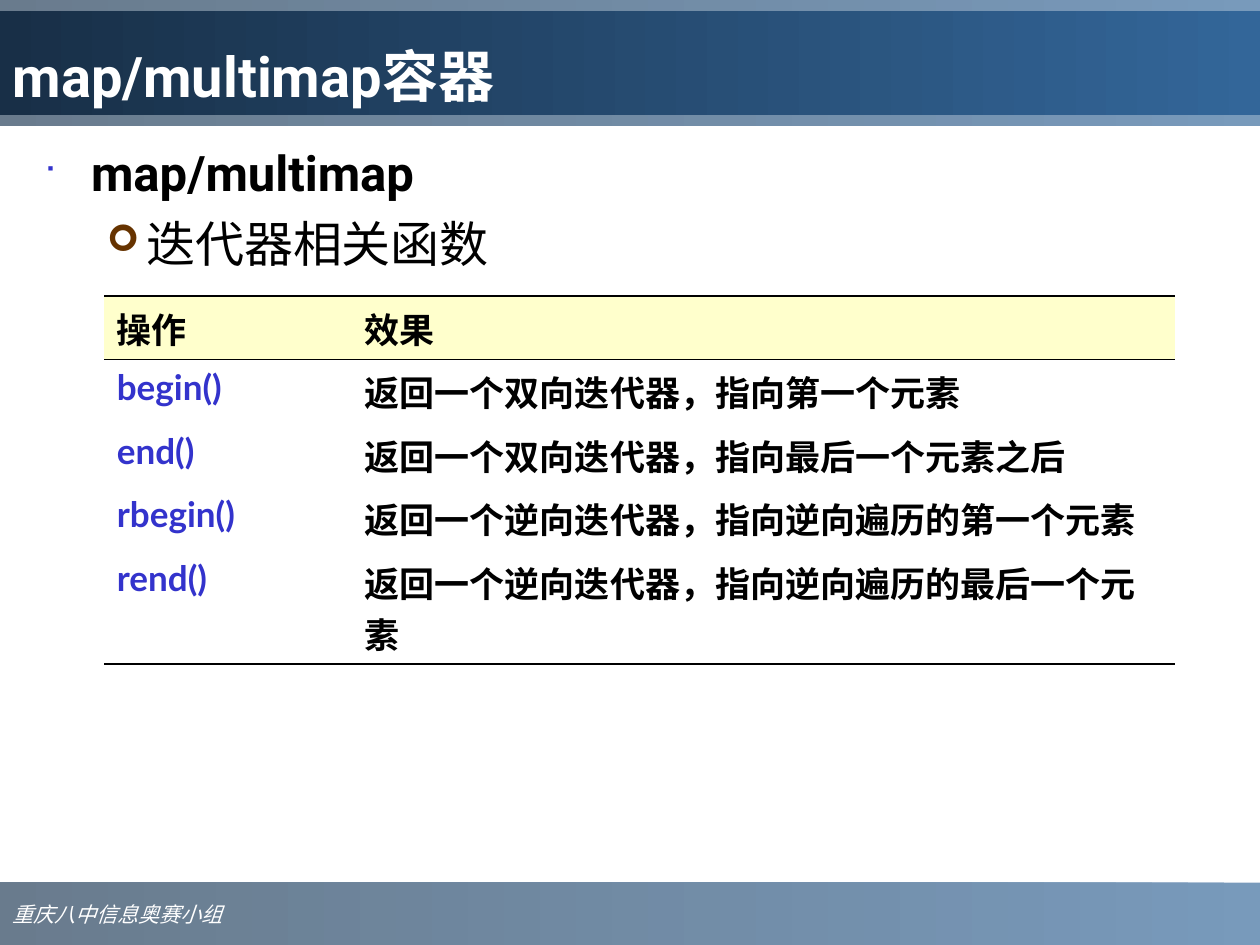
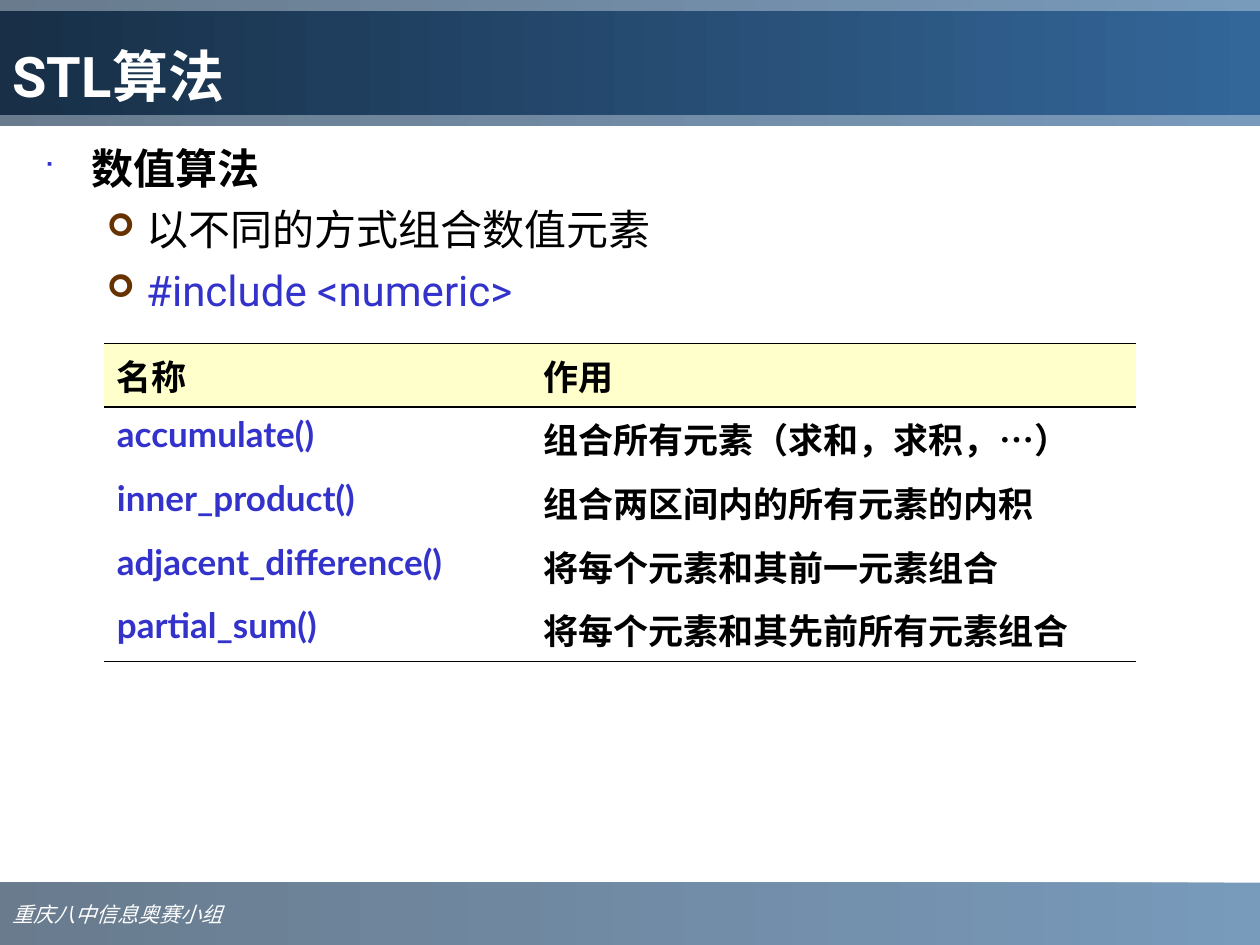
from dataclasses import dataclass, field
from itertools import groupby

import lxml.etree
import pptx
import pptx.dml.color
import pptx.enum.lang
import pptx.enum.shapes
import pptx.enum.text
import pptx.oxml.ns
import pptx.util

COLUMNS, ROWS = 120, 90
SLIDE_WIDTH, SLIDE_HEIGHT = pptx.util.Inches(10), pptx.util.Inches(7.5)
PLAIN_TABLE = "{2D5ABB26-0587-4C30-8999-92F81FD0307C}"
CHINESE = pptx.enum.lang.MSO_LANGUAGE_ID.SIMPLIFIED_CHINESE
LEFT = pptx.enum.text.PP_ALIGN.LEFT
ANCHOR = pptx.enum.text.MSO_ANCHOR


# Theme: colours, type and line widths
@dataclass(frozen=True)
class TextStyle:
    size: float
    font: str
    color: str
    bold: bool = False
    italic: bool = False


@dataclass(frozen=True)
class Theme:
    white: str = "FFFFFF"
    black: str = "000000"
    code: str = "3333CC"
    arrow: str = "663300"
    header: str = "FFFFCC"
    band: tuple[str, str] = ("336699", "1C3853")
    title_band: tuple[str, str] = ("336699", "182F47")
    band_alpha: int = 66
    title: TextStyle = TextStyle(32, "Roboto", "FFFFFF", bold=True)
    footer: TextStyle = TextStyle(12, "Arial", "FFFFFF", italic=True)
    body_font: str = "Roboto"
    bullet_font: str = "Wingdings"
    table_font: str = "Lato"
    ellipsis_font: str = "Times New Roman"
    table_size: int = 20
    outer_line: float = 1.08
    header_line: float = 0.75


THEME = Theme()


# Grid areas and slide content
@dataclass(frozen=True)
class Area:
    left: float
    top: float
    width: float
    height: float

    def emu(self) -> tuple[int, int, int, int]:
        return across(self.left), down(self.top), across(self.width), down(self.height)


@dataclass(frozen=True)
class Bullet:
    mark: str
    color: str
    percent: int
    level: int
    margin: float
    indent: float


@dataclass(frozen=True)
class Point:
    text: str
    bullet: Bullet
    color: str = THEME.black


@dataclass(frozen=True)
class FunctionTable:
    top: float
    column_widths: tuple[float, float]
    last_row_height: float
    rows: list[tuple[str, str]]


@dataclass(frozen=True)
class Lesson:
    title: str
    point_size: int
    space_before: int
    table: FunctionTable
    points: list[Point] = field(default_factory=list)


TOP_BAND = Area(0, 0, 120, 12)
TITLE_BAND = Area(0, 1, 120, 10)
FOOTER_BAND = Area(0, 84.05, 120, 5.95)
BODY = Area(3, 13, 113, 70)
TABLE_LEFT = 9.93
ROW_HEIGHT, WRAPPED_ROW_HEIGHT = 6.06, 10.8
FOOTER_TEXT = "重庆八中信息奥赛小组"

TOPIC = Bullet("■", THEME.code, 60, 0, 4.5, -4.5)
DETAIL = Bullet("➢", THEME.arrow, 75, 1, 9.75, -3.75)

LESSONS = [
    Lesson(
        "map/multimap容器", 28, 7,
        FunctionTable(28.2, (23.6, 78.4), WRAPPED_ROW_HEIGHT, [
            ("操作", "效果"),
            ("begin()", "返回一个双向迭代器，指向第一个元素"),
            ("end()", "返回一个双向迭代器，指向最后一个元素之后"),
            ("rbegin()", "返回一个逆向迭代器，指向逆向遍历的第一个元素"),
            ("rend()", "返回一个逆向迭代器，指向逆向遍历的最后一个元素"),
        ]),
        [Point("map/multimap", TOPIC), Point("迭代器相关函数", DETAIL)],
    ),
    Lesson(
        "STL算法", 24, 6,
        FunctionTable(32.7, (40.6, 57.7), ROW_HEIGHT, [
            ("名称", "作用"),
            ("accumulate()", "组合所有元素（求和，求积，…）"),
            ("inner_product()", "组合两区间内的所有元素的内积"),
            ("adjacent_difference()", "将每个元素和其前一元素组合"),
            ("partial_sum()", "将每个元素和其先前所有元素组合"),
        ]),
        [Point("数值算法", TOPIC), Point("以不同的方式组合数值元素", DETAIL),
         Point("#include <numeric>", DETAIL, THEME.code)],
    ),
]


# Shared helpers
def across(columns: float) -> int:
    return round(SLIDE_WIDTH * columns / COLUMNS)


def down(rows: float) -> int:
    return round(SLIDE_HEIGHT * rows / ROWS)


def rgb(color: str) -> pptx.dml.color.RGBColor:
    return pptx.dml.color.RGBColor.from_string(color)


def apply(target, values: dict) -> None:
    for name, value in values.items():
        setattr(target, name, value)


def add_xml(parent, tag: str, **attributes):
    return lxml.etree.SubElement(
        parent, pptx.oxml.ns.qn(tag), {key: str(value) for key, value in attributes.items()})


def add_run(paragraph, text: str, style: TextStyle) -> None:
    run = paragraph.add_run()
    run.text = text
    apply(run.font, {
        "size": pptx.util.Pt(style.size), "name": style.font, "bold": style.bold,
        "italic": style.italic, "language_id": CHINESE})
    run.font.color.rgb = rgb(style.color)


def fill_gradient(shape, colors: tuple[str, str], alpha: int = 100) -> None:
    shape.fill.gradient()
    shape.fill.gradient_angle = 180
    for stop, color in zip(shape.fill.gradient_stops, colors):
        stop.color.rgb = rgb(color)
    if alpha < 100:
        for color in shape.element.spPr.iter(pptx.oxml.ns.qn("a:srgbClr")):
            add_xml(color, "a:alpha", val=alpha * 1000)
    shape.line.fill.background()


def set_line(shape_text, text: str, style: TextStyle, anchor) -> None:
    apply(shape_text, {"word_wrap": True, "vertical_anchor": anchor,
                       "auto_size": pptx.enum.text.MSO_AUTO_SIZE.NONE})
    paragraph = shape_text.paragraphs[0]
    paragraph.alignment = LEFT
    add_run(paragraph, text, style)


# Bands, footer and title
def add_band(slide, area: Area):
    band = slide.shapes.add_shape(pptx.enum.shapes.MSO_SHAPE.RECTANGLE, *area.emu())
    band.shadow.inherit = False
    fill_gradient(band, THEME.band, THEME.band_alpha)
    slide.shapes.title.element.addprevious(band.element)
    return band


def add_frame(slide, title: str) -> None:
    footer = add_band(slide, FOOTER_BAND)
    set_line(footer.text_frame, FOOTER_TEXT, THEME.footer, ANCHOR.MIDDLE)
    add_band(slide, TOP_BAND)
    heading = slide.shapes.title
    apply(heading, dict(zip(("left", "top", "width", "height"), TITLE_BAND.emu())))
    fill_gradient(heading, THEME.title_band)
    set_line(heading.text_frame, title, THEME.title, ANCHOR.BOTTOM)


# Bulleted points
def add_bullet(paragraph, bullet: Bullet) -> None:
    properties = paragraph._p.get_or_add_pPr()
    properties.set("marL", str(across(bullet.margin)))
    properties.set("indent", str(across(bullet.indent)))
    add_xml(add_xml(properties, "a:buClr"), "a:srgbClr", val=bullet.color)
    add_xml(properties, "a:buSzPct", val=bullet.percent * 1000)
    add_xml(properties, "a:buFont", typeface=THEME.bullet_font, charset=2)
    add_xml(properties, "a:buChar", char=bullet.mark)
    paragraph.level = bullet.level


def add_points(slide, lesson: Lesson) -> None:
    frame = slide.shapes.add_textbox(*BODY.emu()).text_frame
    frame.word_wrap = True
    for index, point in enumerate(lesson.points):
        paragraph = frame.add_paragraph() if index else frame.paragraphs[0]
        add_bullet(paragraph, point.bullet)
        if index:
            paragraph.space_before = pptx.util.Pt(lesson.space_before)
        add_run(paragraph, point.text, TextStyle(
            lesson.point_size, THEME.body_font, point.color, bold=point.bullet is TOPIC))


# Function tables
def add_border(cell, tag: str, width: float) -> None:
    line = add_xml(cell._tc.get_or_add_tcPr(), tag, w=pptx.util.Pt(width))
    if width:
        add_xml(add_xml(line, "a:solidFill"), "a:srgbClr", val=THEME.black)
    else:
        add_xml(line, "a:noFill")


def format_cell(cell, text: str, row: int, column: int, last_row: int) -> None:
    rules = {0: THEME.outer_line, 1: THEME.header_line, last_row + 1: THEME.outer_line}
    for tag, edge in (("a:lnT", row), ("a:lnB", row + 1)):
        add_border(cell, tag, rules.get(edge, 0))
    if row == 0:
        cell.fill.solid()
        cell.fill.fore_color.rgb = rgb(THEME.header)
    else:
        cell.fill.background()
    color = THEME.code if row and column == 0 else THEME.black
    for is_ellipsis, letters in groupby(text, key=lambda letter: letter == "…"):
        font = THEME.ellipsis_font if is_ellipsis else THEME.table_font
        add_run(cell.text_frame.paragraphs[0], "".join(letters),
                TextStyle(THEME.table_size, font, color, bold=True))


def add_function_table(slide, functions: FunctionTable) -> None:
    count = len(functions.rows)
    height = ROW_HEIGHT * (count - 1) + functions.last_row_height
    area = Area(TABLE_LEFT, functions.top, sum(functions.column_widths), height)
    frame = slide.shapes.add_table(count, len(functions.column_widths), *area.emu())
    table = frame.table
    apply(table, {"first_row": False, "horz_banding": False})
    next(frame.element.iter(pptx.oxml.ns.qn("a:tableStyleId"))).text = PLAIN_TABLE
    for column, width in zip(table.columns, functions.column_widths):
        column.width = across(width)
    for row, texts in enumerate(functions.rows):
        is_last = row == count - 1
        table.rows[row].height = down(functions.last_row_height if is_last else ROW_HEIGHT)
        for column, text in enumerate(texts):
            format_cell(table.cell(row, column), text, row, column, count - 1)


def main() -> None:
    deck = pptx.Presentation()
    apply(deck, {"slide_width": SLIDE_WIDTH, "slide_height": SLIDE_HEIGHT})
    title_only = deck.slide_layouts[5]
    for lesson in LESSONS:
        slide = deck.slides.add_slide(title_only)
        slide.background.fill.solid()
        slide.background.fill.fore_color.rgb = rgb(THEME.white)
        add_frame(slide, lesson.title)
        add_points(slide, lesson)
        add_function_table(slide, lesson.table)
    deck.save("out.pptx")


if __name__ == "__main__":
    main()
